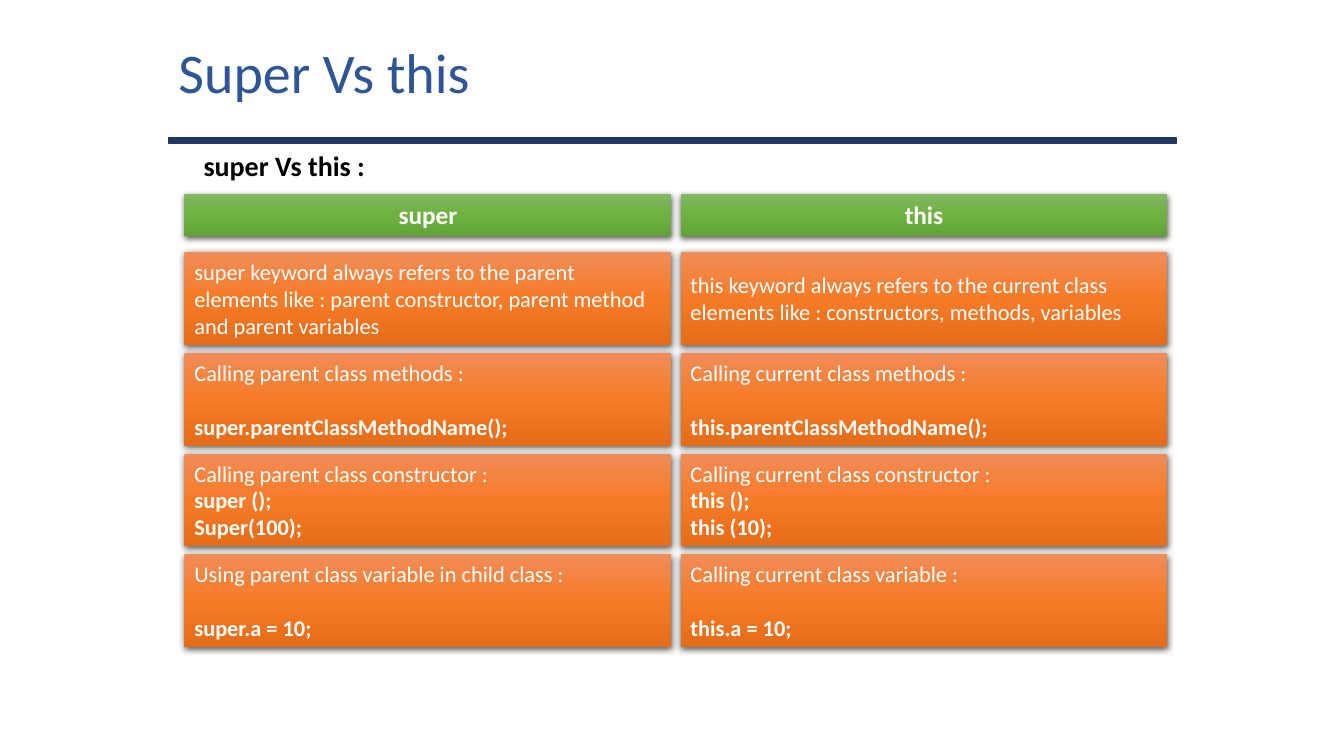
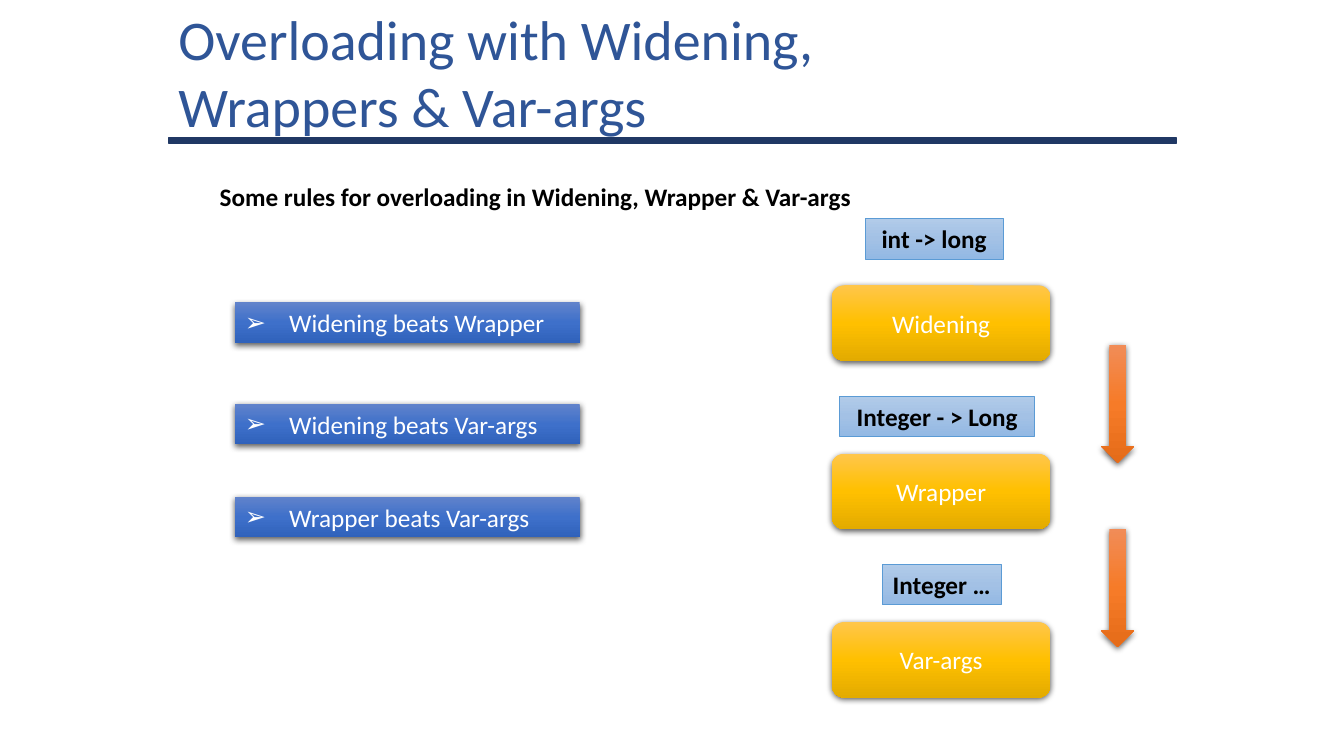
from copy import deepcopy

from lxml import etree
from pptx import Presentation
from pptx.dml.color import RGBColor
from pptx.enum.shapes import MSO_SHAPE
from pptx.enum.text import MSO_ANCHOR, MSO_AUTO_SIZE, PP_ALIGN
from pptx.oxml.ns import qn
from pptx.util import Inches, Pt

NAVY = RGBColor(0x20, 0x38, 0x64)
TITLE_BLUE = RGBColor(0x2F, 0x55, 0x97)
LABEL_BORDER = RGBColor(0x5B, 0x9B, 0xD5)
BLACK = RGBColor(0x00, 0x00, 0x00)
WHITE = RGBColor(0xFF, 0xFF, 0xFF)
GREEN = [RGBColor(0x81, 0xB8, 0x61), RGBColor(0x6F, 0xB2, 0x42), RGBColor(0x62, 0xA3, 0x36)]
ORANGE = [RGBColor(0xF1, 0x8C, 0x57), RGBColor(0xF6, 0x7B, 0x28), RGBColor(0xE5, 0x6C, 0x19)]
GOLD = [RGBColor(0xFF, 0xC6, 0x4B), RGBColor(0xFF, 0xC0, 0x00), RGBColor(0xE3, 0xAB, 0x00)]
BLUE = [RGBColor(0x61, 0x83, 0xCB), RGBColor(0x3E, 0x70, 0xCA), RGBColor(0x30, 0x62, 0xBB)]
PALE_BLUE = [RGBColor(0xB1, 0xCB, 0xE9), RGBColor(0xA3, 0xC1, 0xE5), RGBColor(0x93, 0xB9, 0xE4)]
FONT = "Calibri"
BULLET_INDENT = Inches(0.44)


def add_text(slide, text, box, *, size=18, color=WHITE, bold=False,
             align=PP_ALIGN.LEFT, anchor=MSO_ANCHOR.TOP, wrap=True,
             kind=None, gradient=None, border=None, bullet=None, code=(), code_gap=0):
    bounds = [Inches(length) for length in box]
    if kind is None:
        shape = slide.shapes.add_textbox(*bounds)
    else:
        shape = slide.shapes.add_shape(kind, *bounds)
        shape.shadow.inherit = False
        shape.fill.gradient()
        shape.fill.gradient_angle = 270
        stops = shape.element.spPr.find(".//" + qn("a:gsLst"))
        stops.insert(1, deepcopy(stops[0]))
        stops[1].set("pos", "50000")
        for stop, stop_color in zip(shape.fill.gradient_stops, gradient):
            stop.color.rgb = stop_color
        if border is None:
            shape.line.fill.background()
            effects = shape.element.spPr.find(qn("a:effectLst"))
            shadow = etree.SubElement(effects, qn("a:outerShdw"), blurRad="57150",
                                      dist="19050", dir="5400000", algn="ctr", rotWithShape="0")
            shadow_color = etree.SubElement(shadow, qn("a:srgbClr"), val=str(BLACK))
            etree.SubElement(shadow_color, qn("a:alpha"), val="63000")
        else:
            shape.line.color.rgb = border
            shape.line.width = Pt(0.5)

    frame = shape.text_frame
    frame.word_wrap = wrap
    frame.vertical_anchor = anchor
    for index, line in enumerate([text, *code]):
        paragraph = frame.paragraphs[0] if index == 0 else frame.add_paragraph()
        paragraph.text = line
        paragraph.alignment = align
        if index == 1:
            paragraph.space_before = Pt(code_gap)
        if bullet:
            properties = paragraph._p.get_or_add_pPr()
            properties.set("marL", str(BULLET_INDENT))
            properties.set("indent", str(-BULLET_INDENT))
            etree.SubElement(properties, qn("a:buFont"), typeface=FONT)
            etree.SubElement(properties, qn("a:buChar"), char=bullet)
        paragraph.font.name = FONT
        paragraph.font.size = Pt(size)
        paragraph.font.bold = bold or index > 0
        paragraph.font.color.rgb = color
    return shape


def add_titled_slide(presentation, title_text):
    slide = presentation.slides.add_slide(presentation.slide_layouts[5])
    band = slide.shapes.add_shape(MSO_SHAPE.RECTANGLE, Inches(1.67), Inches(1.37),
                                  Inches(10), Inches(0.05))
    band.shadow.inherit = False
    band.fill.solid()
    band.fill.fore_color.rgb = NAVY
    band.line.color.rgb = NAVY
    band.line.width = Pt(1)

    title = slide.shapes.title
    slide.shapes.element.append(title.element)
    title.left, title.top = Inches(1.67), Inches(0)
    title.width, title.height = Inches(7.83), Inches(1.42)
    frame = title.text_frame
    frame.text = title_text
    frame.auto_size = MSO_AUTO_SIZE.NONE
    frame.vertical_anchor = MSO_ANCHOR.MIDDLE
    paragraph = frame.paragraphs[0]
    paragraph.alignment = PP_ALIGN.LEFT
    paragraph.font.name = FONT
    paragraph.font.size = Pt(40)
    paragraph.font.color.rgb = TITLE_BLUE
    return slide


presentation = Presentation()
presentation.slide_width = Inches(13.33)
presentation.slide_height = Inches(7.5)

slide = add_titled_slide(presentation, "Super Vs this")
add_text(slide, "super Vs this :", (1.92, 1.42, 9.42, 0.44), size=20, color=BLACK, bold=True)

comparison = [
    ("super", [
        ("super keyword always refers to the parent elements like : parent constructor, "
         "parent method and parent variables", []),
        ("Calling parent class methods :", ["super.parentClassMethodName();"]),
        ("Calling parent class constructor :", ["super ();", "Super(100);"]),
        ("Using parent class variable in child class :", ["super.a = 10;"]),
    ]),
    ("this", [
        ("this keyword always refers to the current class elements like : constructors, "
         "methods, variables", []),
        ("Calling current class methods :", ["this.parentClassMethodName();"]),
        ("Calling current class constructor :", ["this ();", "this (10);"]),
        ("Calling current class variable :", ["this.a = 10;"]),
    ]),
]
for column, (keyword, uses) in enumerate(comparison):
    left = 1.83 + column * 4.92
    add_text(slide, keyword, (left, 1.92, 4.83, 0.42), bold=True, align=PP_ALIGN.CENTER,
             anchor=MSO_ANCHOR.MIDDLE, kind=MSO_SHAPE.RECTANGLE, gradient=GREEN)
    for row, (description, code) in enumerate(uses):
        add_text(slide, description, (left, 2.5 + row, 4.83, 0.92), size=16,
                 anchor=MSO_ANCHOR.MIDDLE, kind=MSO_SHAPE.RECTANGLE, gradient=ORANGE,
                 code=code, code_gap=19.5 if len(code) == 1 else 0)

slide = add_titled_slide(presentation, "Overloading with Widening, Wrappers & Var-args")
add_text(slide, "Some rules for overloading in Widening, Wrapper & Var-args",
         (2.08, 1.75, 6.52, 0.4), color=BLACK, bold=True, wrap=False)

for row, step in enumerate(["Widening", "Wrapper", "Var-args"]):
    add_text(slide, step, (8.25, 2.83 + row * 1.67, 2.17, 0.75), align=PP_ALIGN.CENTER,
             anchor=MSO_ANCHOR.MIDDLE, kind=MSO_SHAPE.ROUNDED_RECTANGLE, gradient=GOLD)

for top in (3.42, 5.25):
    add_text(slide, "", (10.92, top, 0.33, 1.17), kind=MSO_SHAPE.DOWN_ARROW, gradient=ORANGE)

rules = [("Widening beats Wrapper", 3), ("Widening beats Var-args", 4.01),
         ("Wrapper beats Var-args", 4.93)]
for rule, top in rules:
    add_text(slide, rule, (2.33, top, 3.42, 0.4), kind=MSO_SHAPE.RECTANGLE,
             gradient=BLUE, bullet="➢")

examples = [("int -> long", 8.58, 2.17, 1.37), ("Integer - > Long", 8.33, 3.93, 1.93),
            ("Integer …", 8.75, 5.6, 1.18)]
for example, left, top, width in examples:
    add_text(slide, example, (left, top, width, 0.4), color=BLACK, bold=True, wrap=False,
             align=PP_ALIGN.CENTER, kind=MSO_SHAPE.RECTANGLE, gradient=PALE_BLUE,
             border=LABEL_BORDER)

presentation.save("out.pptx")
